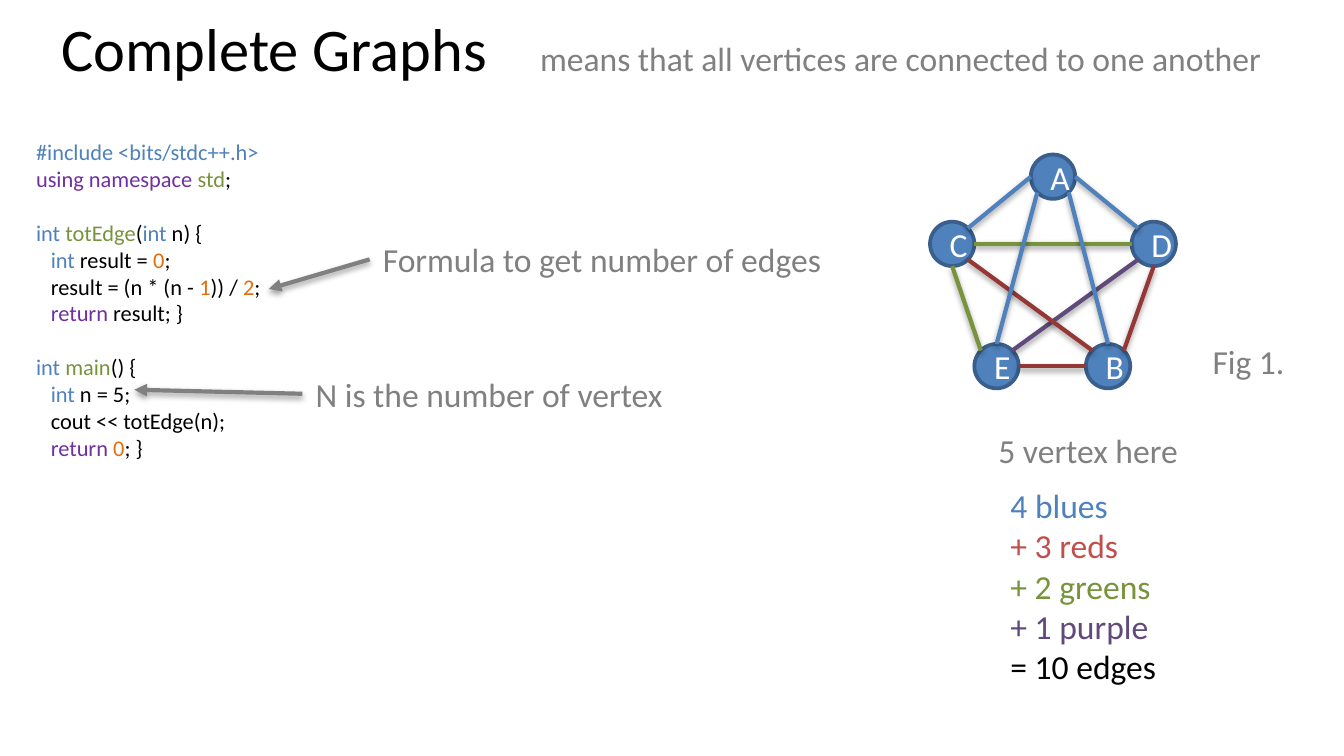
import math

import pptx
import pptx.dml.color
import pptx.enum.shapes
import pptx.enum.text
import pptx.oxml
import pptx.oxml.ns
import pptx.util
from pptx.util import Inches

RGBColor = pptx.dml.color.RGBColor
CENTER = pptx.enum.text.PP_ALIGN.CENTER
LEFT = pptx.enum.text.PP_ALIGN.LEFT
MIDDLE = pptx.enum.text.MSO_ANCHOR.MIDDLE
TOP = pptx.enum.text.MSO_ANCHOR.TOP

BLACK = RGBColor(0x00, 0x00, 0x00)
WHITE = RGBColor(0xFF, 0xFF, 0xFF)
GRAY = RGBColor(0x80, 0x80, 0x80)
BLUE = RGBColor(0x4F, 0x81, 0xBD)
NAVY = RGBColor(0x3A, 0x5F, 0x8C)
GREEN = RGBColor(0x77, 0x93, 0x3C)
RED = RGBColor(0xC0, 0x50, 0x4D)
DARK_RED = RGBColor(0x95, 0x37, 0x35)
PURPLE = RGBColor(0x60, 0x4A, 0x7B)
VIOLET = RGBColor(0x70, 0x30, 0xA0)
ORANGE = RGBColor(0xE4, 0x6C, 0x0A)

FONT = "Calibri"
SLIDE_WIDTH = 10
SLIDE_HEIGHT = SLIDE_WIDTH * 9 / 16
CODE_INDENT = 0.11
CODE_GAP = 14.4
DIAMETER = 0.33
VERTICES = {
    "A": (7.67, 1.15),
    "E": (7.25, 2.56),
    "B": (8.08, 2.56),
    "C": (6.92, 1.65),
    "D": (8.42, 1.65),
}
COMPASS = ["e", "se", "s", "sw", "w", "nw", "n", "ne"]
# Each end is a vertex and the side of it that the edge touches.
EDGES = [
    ("E", "nw", "C", "s", GREEN),
    ("D", "s", "B", "ne", DARK_RED),
    ("B", "w", "E", "e", DARK_RED),
    ("D", "sw", "E", "ne", PURPLE),
    ("D", "w", "C", "e", GREEN),
    ("B", "nw", "C", "se", DARK_RED),
    ("A", "w", "C", "ne", BLUE),
    ("D", "nw", "A", "e", BLUE),
    ("E", "n", "A", "sw", BLUE),
    ("B", "n", "A", "se", BLUE),
]
# Each code line: indent level, blank line before it, coloured pieces.
CODE = [
    (0, False, [("#include <bits/stdc++.h>", BLUE)]),
    (0, False, [("using namespace ", VIOLET), ("std", GREEN), (";", BLACK)]),
    (0, True, [("int ", BLUE), ("totEdge", GREEN), ("(", BLACK),
               ("int", BLUE), (" n) {", BLACK)]),
    (1, False, [("int", BLUE), (" result = ", BLACK), ("0", ORANGE), (";", BLACK)]),
    (1, False, [("result = (n * (n - ", BLACK), ("1", ORANGE), (")) / ", BLACK),
                ("2", ORANGE), (";", BLACK)]),
    (1, False, [("return", VIOLET), (" result; }", BLACK)]),
    (0, True, [("int ", BLUE), ("main", GREEN), ("() {", BLACK)]),
    (1, False, [("int", BLUE), (" n = 5;", BLACK)]),
    (1, False, [("cout << totEdge(n);", BLACK)]),
    (1, False, [("return ", VIOLET), ("0", ORANGE), ("; }", BLACK)]),
]
TOTALS = [
    ("4 blues", BLUE),
    ("+ 3 reds", RED),
    ("+ 2 greens", GREEN),
    ("+ 1 purple", PURPLE),
    ("= 10 edges", BLACK),
]
LABELS = [
    ("means that all vertices are connected to one another", (3.92, 0.23, 5.92, 0.4), LEFT),
    ("N is the number of vertex", (2.25, 2.73, 2.83, 0.4), LEFT),
    ("Formula to get number of edges", (2.75, 1.73, 3.5, 0.4), LEFT),
    ("5 vertex here", (7.33, 3.15, 1.55, 0.4), LEFT),
    ("Fig 1.", (8.79, 2.49, 1, 0.4), CENTER),
]
POINTERS = [((2, 2.15), (2.75, 1.93)), ((1, 2.9), (2.25, 2.93))]
SHADOW = (
    '<a:effectLst xmlns:a="http://schemas.openxmlformats.org/drawingml/2006/main">'
    '<a:outerShdw blurRad="40000" dist="20000" dir="5400000" rotWithShape="0">'
    '<a:srgbClr val="000000"><a:alpha val="38000"/></a:srgbClr>'
    '</a:outerShdw></a:effectLst>'
)


def apply_format(target, values):
    """Set every attribute of target named in values."""
    for name, value in values.items():
        setattr(target, name, value)


def add_run(paragraph, text, size, color):
    """Append a coloured run to a paragraph."""
    run = paragraph.add_run()
    run.text = text
    apply_format(run.font, {"name": FONT, "size": pptx.util.Pt(size)})
    run.font.color.rgb = color


def add_text(slide, box, lines, size, align=LEFT, anchor=TOP):
    """Add a text box; each line is (indent, gap before, pieces)."""
    frame = slide.shapes.add_textbox(*map(Inches, box)).text_frame
    apply_format(frame, {"word_wrap": True, "vertical_anchor": anchor})
    for number, (indent, gap, pieces) in enumerate(lines):
        paragraph = frame.add_paragraph() if number else frame.paragraphs[0]
        paragraph.alignment = align
        if gap:
            paragraph.space_before = pptx.util.Pt(CODE_GAP)
        if indent:
            margin = Inches(CODE_INDENT * indent)
            paragraph._p.get_or_add_pPr().set("marL", str(margin))
        for text, color in pieces:
            add_run(paragraph, text, size, color)


def add_vertex(slide, letter, corner):
    """Add a lettered circle with its top left at corner."""
    vertex = slide.shapes.add_shape(
        pptx.enum.shapes.MSO_SHAPE.OVAL, *map(Inches, (*corner, DIAMETER, DIAMETER)))
    vertex.shadow.inherit = False
    vertex.fill.solid()
    vertex.fill.fore_color.rgb = BLUE
    vertex.line.color.rgb = NAVY
    vertex.line.width = pptx.util.Pt(2)
    vertex.text_frame.vertical_anchor = MIDDLE
    paragraph = vertex.text_frame.paragraphs[0]
    paragraph.alignment = CENTER
    add_run(paragraph, letter, 18, WHITE)


def rim_point(letter, side):
    """Return the point on a vertex's rim at a compass side."""
    left, top = VERTICES[letter]
    radius = DIAMETER / 2
    angle = COMPASS.index(side) * math.pi / 4
    return (left + radius * (1 + math.cos(angle)),
            top + radius * (1 + math.sin(angle)))


def add_line(slide, start, end, color, arrow=False):
    """Add a shadowed line, with an arrowhead at start if asked."""
    line = slide.shapes.add_connector(
        pptx.enum.shapes.MSO_CONNECTOR.STRAIGHT, *map(Inches, (*start, *end)))
    line.line.color.rgb = color
    line.line.width = pptx.util.Pt(2.25)
    if arrow:
        outline = line.line._get_or_add_ln()
        head = pptx.oxml.ns.qn("a:headEnd")
        outline.append(outline.makeelement(head, {"type": "triangle"}))
    line._element.spPr.append(pptx.oxml.parse_xml(SHADOW))


def main():
    """Build the slide on complete graphs."""
    deck = pptx.Presentation()
    apply_format(deck, {"slide_width": Inches(SLIDE_WIDTH),
                        "slide_height": Inches(SLIDE_HEIGHT)})
    slide = deck.slides.add_slide(deck.slide_layouts[6])

    add_text(slide, (0.25, 0.06, 3.58, 0.59),
             [(0, False, [("Complete Graphs", BLACK)])], 32.4, CENTER, MIDDLE)
    for letter, corner in VERTICES.items():
        add_vertex(slide, letter, corner)
    for first, first_side, second, second_side, color in EDGES:
        add_line(slide, rim_point(first, first_side),
                 rim_point(second, second_side), color)
    add_text(slide, (0.17, 0.98, 1.93, 2.52), CODE, 12)
    for text, box, align in LABELS:
        add_text(slide, box, [(0, False, [(text, GRAY)])], 18, align)
    for tip, tail in POINTERS:
        add_line(slide, tip, tail, GRAY, arrow=True)
    add_text(slide, (7.42, 3.56, 1.3, 1.62),
             [(0, False, [total]) for total in TOTALS], 18)

    deck.save("out.pptx")


main()
